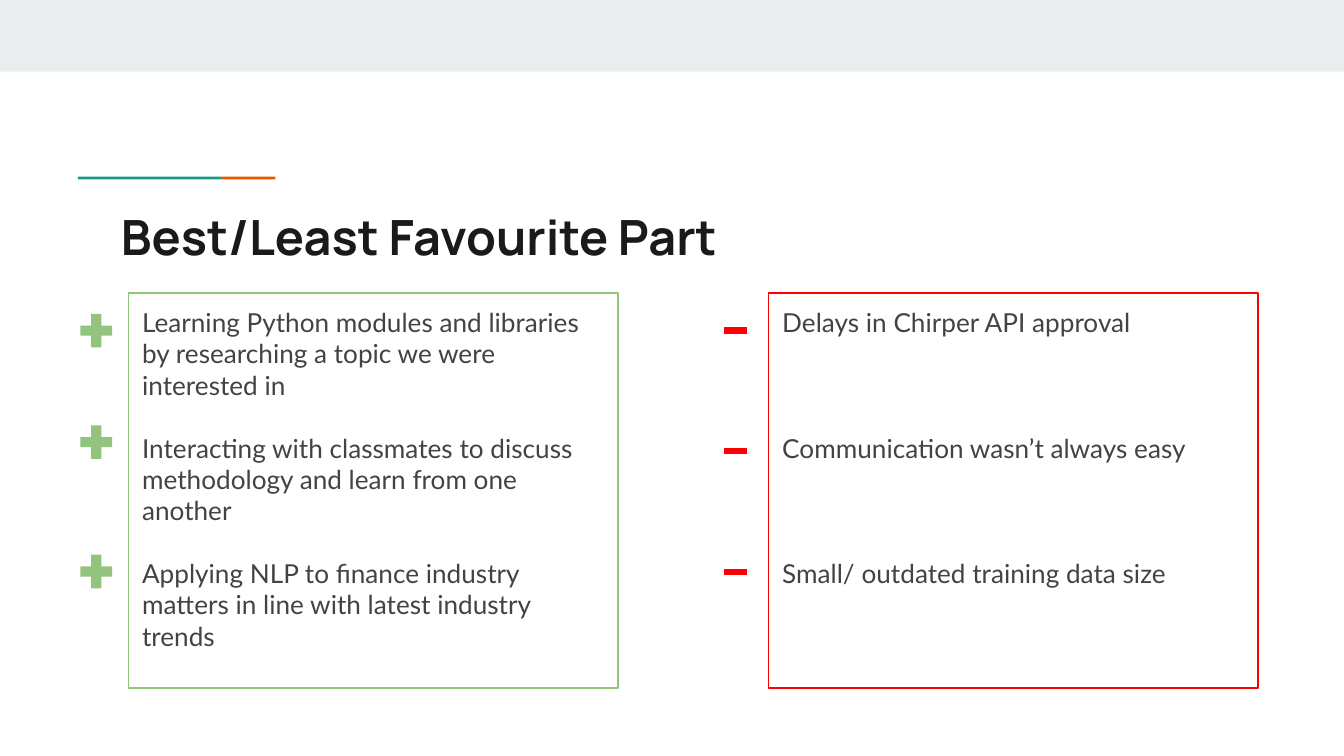
import dataclasses

import lxml.etree
import pptx
import pptx.dml.color
import pptx.enum.shapes
import pptx.enum.text
import pptx.oxml.ns
import pptx.util

RGBColor = pptx.dml.color.RGBColor
Shapes = pptx.enum.shapes.MSO_SHAPE

WHITE = RGBColor(0xFF, 0xFF, 0xFF)
MIST = RGBColor(0xE9, 0xED, 0xEE)
TEAL = RGBColor(0x1A, 0x99, 0x88)
ORANGE = RGBColor(0xEB, 0x56, 0x00)
GREEN = RGBColor(0x93, 0xC4, 0x7D)
RED = RGBColor(0xFF, 0x00, 0x00)
INK = RGBColor(0x1A, 0x1A, 0x1A)
GREY = RGBColor(0x43, 0x43, 0x43)

COLUMNS = 100
ROWS = COLUMNS * 9 / 16
SLIDE_WIDTH = pptx.util.Inches(10)
SLIDE_HEIGHT = pptx.util.Emu(SLIDE_WIDTH * 9 // 16)
INSET = 1
LINE_HEIGHT = 16.8
OUTLINE = pptx.util.Pt(0.75)


@dataclasses.dataclass(frozen=True)
class Area:
    column: float
    row: float
    columns: float
    rows: float

    def place(self) -> tuple[int, int, int, int]:
        across, down = SLIDE_WIDTH / COLUMNS, SLIDE_HEIGHT / ROWS
        return (round(self.column * across), round(self.row * down),
                round(self.columns * across), round(self.rows * down))


@dataclasses.dataclass(frozen=True)
class Panel:
    column: float
    color: RGBColor
    blank_lines: int
    points: tuple[str, ...]
    sign: Shapes
    signs: tuple[Area, ...]
    sign_outline: RGBColor | None = None


PANELS = (
    Panel(9.57, GREEN, 1, (
        "Learning Python modules and libraries by researching a topic we were interested in",
        "Interacting with classmates to discuss methodology and learn from one another",
        "Applying NLP to finance industry matters in line with latest industry trends",
    ), Shapes.MATH_PLUS, tuple(Area(5.56, row, 3.2, 3.4) for row in (22.9, 31.2, 40.83))),
    Panel(57.2, RED, 3, (
        "Delays in Chirper API approval",
        "Communication wasn’t always easy",
        "Small/ outdated training data size",
    ), Shapes.MATH_MINUS, tuple(Area(53.5, row, 2.5, 2.5) for row in (23.33, 32.3, 41.3)), WHITE),
)


def add_filled(page, kind: Shapes, area: Area, color: RGBColor,
               outline: RGBColor | None = None):
    shape = page.shapes.add_shape(kind, *area.place())
    shape.shadow.inherit = False
    shape.fill.solid()
    shape.fill.fore_color.rgb = color
    if outline is None:
        shape.line.fill.background()
    else:
        shape.line.color.rgb = outline
        shape.line.width = OUTLINE
    return shape


def prepare_box(box, area: Area):
    box.left, box.top, box.width, box.height = area.place()
    frame = box.text_frame
    inset = round(INSET * SLIDE_WIDTH / COLUMNS)
    frame.margin_left = frame.margin_right = inset
    frame.margin_top = frame.margin_bottom = inset
    frame.word_wrap = True
    frame.auto_size = pptx.enum.text.MSO_AUTO_SIZE.NONE
    frame.vertical_anchor = pptx.enum.text.MSO_ANCHOR.TOP
    return frame


def write(para, text: str, *, font: str, size: float, color: RGBColor,
          bold: bool = False, before: float = 0) -> None:
    para.alignment = pptx.enum.text.PP_ALIGN.LEFT
    para.space_before = pptx.util.Pt(before)
    span = para.add_run()
    span.text = text
    span.font.name = font
    span.font.size = pptx.util.Pt(size)
    span.font.bold = bold
    span.font.color.rgb = color


def remove_bullet(para) -> None:
    properties = para._p.get_or_add_pPr()
    properties.set("marL", "0")
    properties.set("indent", "0")
    lxml.etree.SubElement(properties, pptx.oxml.ns.qn("a:buNone"))


def draw_panel(page, box, panel: Panel) -> None:
    frame = prepare_box(box, Area(panel.column, 21.8, 36.4, 29.4))
    box.fill.solid()
    box.fill.fore_color.rgb = WHITE
    box.line.color.rgb = panel.color
    box.line.width = OUTLINE
    for index, point in enumerate(panel.points):
        para = frame.add_paragraph() if index else frame.paragraphs[0]
        gap = panel.blank_lines * LINE_HEIGHT if index else 0
        write(para, point, font="Lato", size=14, color=GREY, before=gap)
        remove_bullet(para)
    for area in panel.signs:
        sign = add_filled(page, panel.sign, area, panel.color, panel.sign_outline)
        sign.adjustments[0] = 0.235


def main() -> None:
    deck = pptx.Presentation()
    deck.slide_width, deck.slide_height = SLIDE_WIDTH, SLIDE_HEIGHT
    page = deck.slides.add_slide(deck.slide_layouts.get_by_name("Two Content"))
    page.background.fill.solid()
    page.background.fill.fore_color.rgb = WHITE

    add_filled(page, Shapes.RECTANGLE, Area(0, 0, COLUMNS, 5.33), MIST)
    add_filled(page, Shapes.RECTANGLE, Area(5.8, 13.15, 10.65, 0.2), TEAL)
    add_filled(page, Shapes.RECTANGLE, Area(16.45, 13.15, 4.05, 0.2), ORANGE)

    title, *bodies = page.placeholders
    frame = prepare_box(title, Area(8, 14.4, 84.1, 5.9))
    write(frame.paragraphs[0], "Best/Least Favourite Part",
          font="Manrope", size=26, color=INK, bold=True)
    for body, panel in zip(bodies, PANELS):
        draw_panel(page, body, panel)

    deck.save("out.pptx")


if __name__ == "__main__":
    main()
